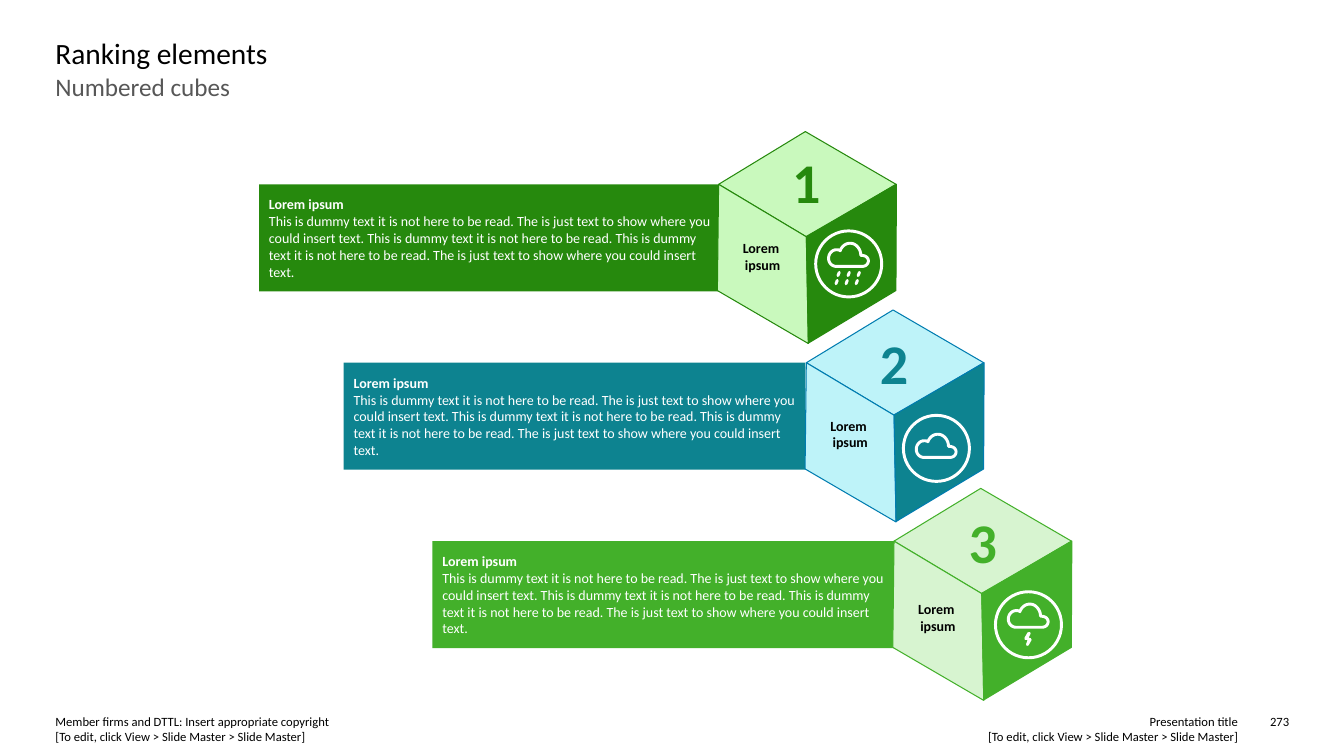
from collections.abc import Callable
from dataclasses import dataclass

from lxml import etree
from pptx import Presentation
from pptx.dml.color import RGBColor
from pptx.enum.shapes import MSO_CONNECTOR, MSO_SHAPE
from pptx.enum.text import MSO_ANCHOR, PP_ALIGN
from pptx.oxml.ns import qn
from pptx.shapes.autoshape import Shape
from pptx.shapes.shapetree import SlideShapes
from pptx.util import Emu, Pt

LEFT, CENTER, RIGHT = PP_ALIGN.LEFT, PP_ALIGN.CENTER, PP_ALIGN.RIGHT
MIDDLE = MSO_ANCHOR.MIDDLE
RECTANGLE, OVAL = MSO_SHAPE.RECTANGLE, MSO_SHAPE.OVAL
STRAIGHT = MSO_CONNECTOR.STRAIGHT

# Grid of 160 columns by 90 rows with square cells
COLUMNS, ROWS = 160, 90
SLIDE_WIDTH, SLIDE_HEIGHT = Emu(12192000), Emu(6858000)
CELL = SLIDE_WIDTH / COLUMNS

Point = tuple[float, float]


@dataclass(frozen=True)
class Theme:
    font: str = "Calibri"
    black: str = "000000"
    grey: str = "575757"
    white: str = "FFFFFF"
    title_size: float = 21
    subtitle_size: float = 18
    number_size: float = 40
    body_size: float = 10
    footer_size: float = 9
    edge_width: float = 0.75
    icon_width: float = 2.1


THEME = Theme()


@dataclass(frozen=True)
class Caption:
    text: str
    left: float
    top: float
    width: float
    height: float
    size: float
    color: str
    align: PP_ALIGN = LEFT
    bold: bool = False
    inset: float = 0


@dataclass(frozen=True)
class Rank:
    dark: str
    light: str
    edge: str
    bar_left: float
    number_at: Point
    label_drop: float
    icon_at: Point
    cloud_rise: float
    weather: Callable[[SlideShapes, Point], None] | None


def grid(cells: float) -> Emu:
    return Emu(round(cells * CELL))


def shift(points: list[Point], origin: Point) -> list[Point]:
    return [(x + origin[0], y + origin[1]) for x, y in points]


def add_caption(shapes: SlideShapes, caption: Caption) -> None:
    box = shapes.add_textbox(*map(grid, (caption.left, caption.top, caption.width, caption.height)))
    frame = box.text_frame
    frame.word_wrap = True
    frame.margin_left = frame.margin_right = frame.margin_top = frame.margin_bottom = grid(caption.inset)
    paragraph = frame.paragraphs[0]
    paragraph.text = caption.text
    paragraph.alignment = caption.align
    for run in paragraph.runs:
        run.font.name = THEME.font
        run.font.size = Pt(caption.size)
        run.font.bold = caption.bold
        run.font.color.rgb = RGBColor.from_string(caption.color)


def style(shape: Shape, fill: str | None, line: str | None, width: float = THEME.edge_width) -> None:
    shape.shadow.inherit = False
    if fill:
        shape.fill.solid()
        shape.fill.fore_color.rgb = RGBColor.from_string(fill)
    else:
        shape.fill.background()
    if line:
        shape.line.color.rgb = RGBColor.from_string(line)
        shape.line.width = Pt(width)
    else:
        shape.line.fill.background()


def add_outline(shapes: SlideShapes, points: list[Point]) -> Shape:
    corners = [(grid(x), grid(y)) for x, y in points]
    builder = shapes.build_freeform(*corners[0], scale=1.0)
    builder.add_line_segments(corners[1:], close=True)
    return builder.convert_to_shape()


# Weather icons, measured from the middle of their ring
CLOUD_START = (1.62, 1.38)
CLOUD_CURVES = [
    [(2.04, 1.38), (2.34, 1.08), (2.34, 0.72)],
    [(2.34, 0.36), (2.04, 0.06), (1.44, 0.06)],
    [(1.44, -0.72), (0.84, -1.38), (0.18, -1.38)],
    [(-0.42, -1.38), (-0.84, -0.96), (-1.02, -0.48)],
    [(-1.14, -0.6), (-1.32, -0.6), (-1.5, -0.6)],
    [(-1.98, -0.6), (-2.4, -0.12), (-2.4, 0.42)],
    [(-2.4, 0.96), (-1.98, 1.38), (-1.5, 1.38)],
]
CURVE_STEPS = 10
RING_SIZE = 7.86
BOLT = [(-0.1, 0.9), (0.2, 0.86), (0.26, 1.05), (0.02, 1.56), (0.28, 1.58), (0.38, 1.8),
        (0.02, 2.45), (-0.2, 2.52), (-0.28, 2.3), (-0.1, 1.82), (-0.42, 1.8), (-0.48, 1.56)]
DROP_ROWS = [(0, 1.2), (-0.24, 2.16)]
DROP_GAP = 1.2
DROP_TILT = (0.08, 0.2)


def cloud_points() -> list[Point]:
    points = [CLOUD_START]
    for first, second, end in CLOUD_CURVES:
        start = points[-1]
        for step in range(1, CURVE_STEPS + 1):
            t = step / CURVE_STEPS
            weights = ((1 - t) ** 3, 3 * t * (1 - t) ** 2, 3 * t * t * (1 - t), t ** 3)
            anchors = (start, first, second, end)
            points.append((sum(w * a[0] for w, a in zip(weights, anchors)),
                           sum(w * a[1] for w, a in zip(weights, anchors))))
    return points


def add_rain(shapes: SlideShapes, middle: Point) -> None:
    tilt_x, tilt_y = DROP_TILT
    for row_x, row_y in DROP_ROWS:
        for column in (-1, 0, 1):
            x, y = middle[0] + row_x + column * DROP_GAP, middle[1] + row_y
            drop = shapes.add_connector(
                STRAIGHT, *map(grid, (x + tilt_x, y - tilt_y, x - tilt_x, y + tilt_y)))
            drop.line.color.rgb = RGBColor.from_string(THEME.white)
            drop.line.width = Pt(THEME.icon_width)
            drop.line._get_or_add_ln().set("cap", "rnd")
            etree.SubElement(drop._element.spPr, qn("a:effectLst"))


def add_bolt(shapes: SlideShapes, middle: Point) -> None:
    style(add_outline(shapes, shift(BOLT, middle)), THEME.white, None)


def add_icon(shapes: SlideShapes, rank: Rank, middle: Point) -> None:
    x, y = middle
    ring = shapes.add_shape(
        OVAL, *map(grid, (x - RING_SIZE / 2, y - RING_SIZE / 2, RING_SIZE, RING_SIZE)))
    cloud = add_outline(shapes, shift(cloud_points(), (x, y - rank.cloud_rise)))
    for part in (ring, cloud):
        style(part, None, THEME.white, THEME.icon_width)
    if rank.weather:
        rank.weather(shapes, middle)


# Cubes, measured from the left corner of their top face
FIRST_CUBE, CUBE_STEP = (85.56, 21.94), (10.44, 21.24)
TOP_FACE = [(0, 0), (10.32, -6.28), (21.12, 0), (10.5, 6.28)]
LEFT_FACE = [(-0.15, 12.65), (0, 0), (10.44, 6.25), (10.68, 18.96)]
RIGHT_FACE = [(10.44, 6.2), (10.68, 18.9), (21.1, 12.65), (21.16, 0)]
BAR_WIDTH, BAR_HEIGHT, BAR_INSET = 54.96, 12.74, 1.2
HEADING = "Lorem ipsum "
DUMMY = ("This is dummy text it is not here to be read. The is just text to show where you could "
         "insert text. This is dummy text it is not here to be read. This is dummy text it is not "
         "here to be read. The is just text to show where you could insert text.")
RANKS = [
    Rank("26890D", "C9F9BD", "26890D", 30.84, (5.88, -4.92), 6.6, (15.48, 9.48), 1.08, add_rain),
    Rank("0D8390", "BEF3F9", "007CB0", 40.92, (5.88, -4.56), 6.48, (15.48, 10.2), 0.3, None),
    Rank("43B02A", "D7F4D0", "43B02A", 51.48, (6, -4.44), 7.08, (16, 9.96), 1.08, add_bolt),
]


def add_bar(shapes: SlideShapes, rank: Rank, top: float) -> None:
    bar = shapes.add_shape(RECTANGLE, *map(grid, (rank.bar_left, top, BAR_WIDTH, BAR_HEIGHT)))
    style(bar, rank.dark, None)
    frame = bar.text_frame
    frame.word_wrap = True
    frame.vertical_anchor = MIDDLE
    frame.margin_left = frame.margin_right = frame.margin_top = frame.margin_bottom = grid(BAR_INSET)
    paragraph = frame.paragraphs[0]
    paragraph.text = f"{HEADING}\n{DUMMY}"
    paragraph.alignment = LEFT
    for run in paragraph.runs:
        run.font.name = THEME.font
        run.font.size = Pt(THEME.body_size)
        run.font.bold = run.text == HEADING
        run.font.color.rgb = RGBColor.from_string(THEME.white)


def add_rank(shapes: SlideShapes, index: int, rank: Rank) -> None:
    x, y = (first + index * step for first, step in zip(FIRST_CUBE, CUBE_STEP))
    add_bar(shapes, rank, y)
    for face, fill in ((TOP_FACE, rank.light), (LEFT_FACE, rank.light), (RIGHT_FACE, rank.dark)):
        style(add_outline(shapes, shift(face, (x, y))), fill, rank.edge)
    add_caption(shapes, Caption(str(index + 1), x + rank.number_at[0], y + rank.number_at[1], 9.12, 9,
                                THEME.number_size, rank.dark, CENTER, True, 0.48))
    add_caption(shapes, Caption("Lorem \nipsum", x - 1.08, y + rank.label_drop, 12.6, 4.08,
                                THEME.body_size, THEME.black, CENTER, True))
    add_icon(shapes, rank, (x + rank.icon_at[0], y + rank.icon_at[1]))


# Title and footer
EDIT_HINT = "[To edit, click View > Slide Master > Slide Master]"
CAPTIONS = [
    Caption("Ranking elements", 6.6, 4.2, 146.88, 4.44, THEME.title_size, THEME.black),
    Caption("Numbered cubes", 6.6, 8.52, 146.88, 9.96, THEME.subtitle_size, THEME.grey),
    Caption(f"Member firms and DTTL: Insert appropriate copyright\n{EDIT_HINT}",
            6.6, 84.96, 70.32, 3.6, THEME.footer_size, THEME.black),
    Caption(f"Presentation title\n{EDIT_HINT}",
            83.16, 84.96, 64.2, 3.6, THEME.footer_size, THEME.black, RIGHT),
    Caption("273", 149.4, 84.96, 4.08, 1.8, THEME.footer_size, THEME.black, RIGHT),
]


def main() -> None:
    deck = Presentation()
    deck.slide_width, deck.slide_height = SLIDE_WIDTH, SLIDE_HEIGHT
    shapes = deck.slides.add_slide(deck.slide_layouts[6]).shapes
    for caption in CAPTIONS:
        add_caption(shapes, caption)
    for index, rank in enumerate(RANKS):
        add_rank(shapes, index, rank)
    deck.save("out.pptx")


if __name__ == "__main__":
    main()
